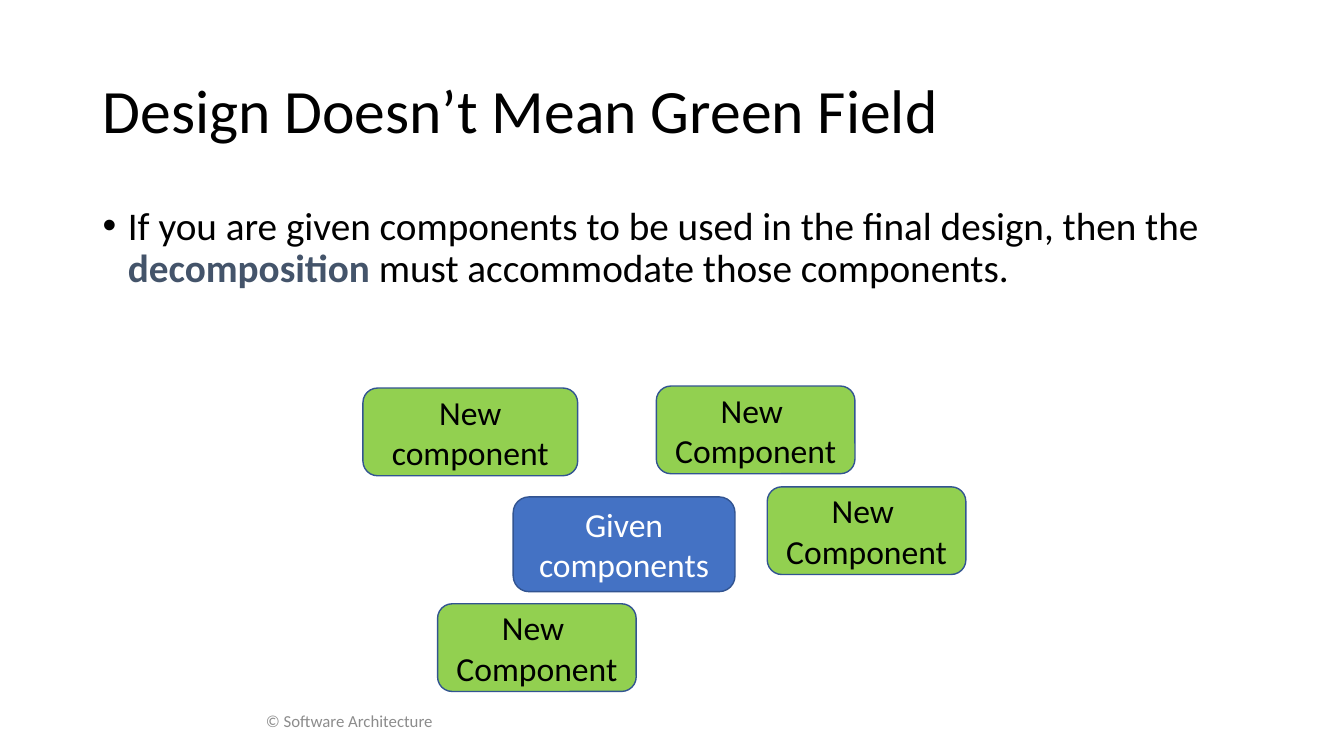
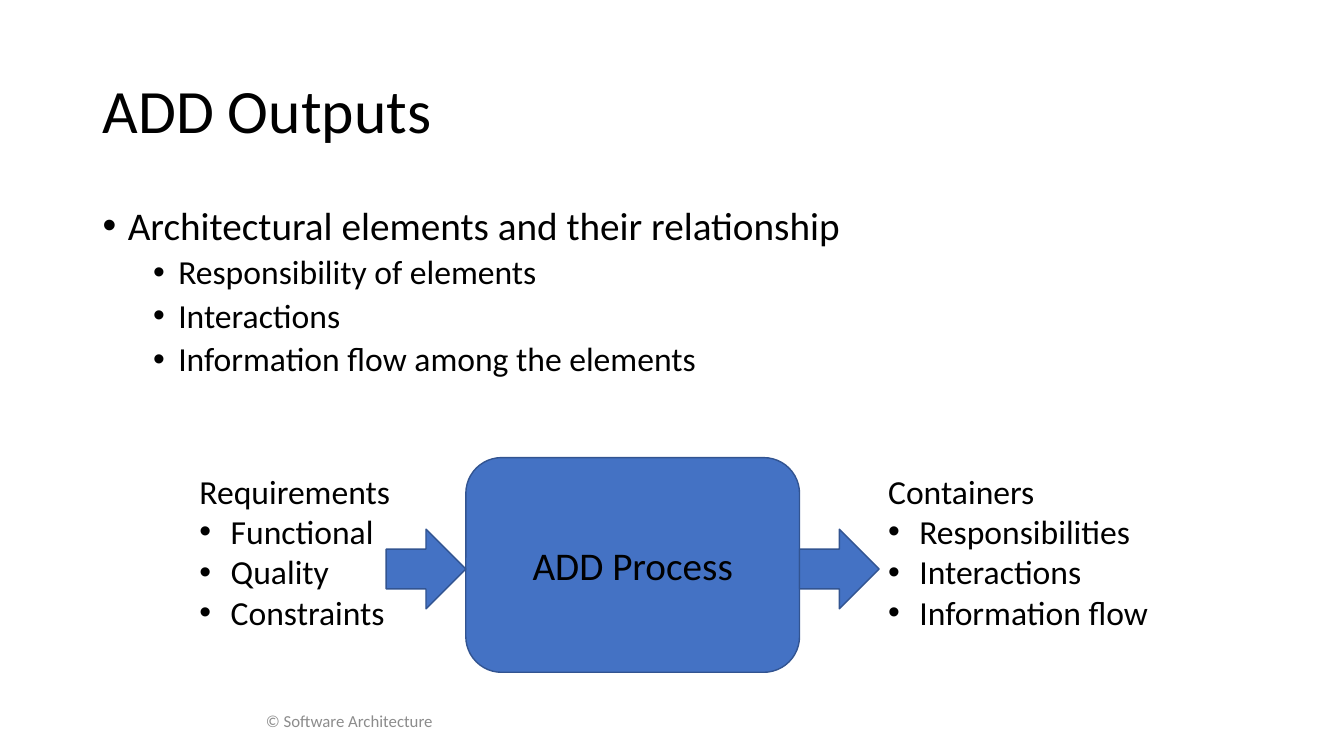
from lxml.etree import SubElement
from pptx import Presentation
from pptx.dml.color import RGBColor
from pptx.enum.shapes import MSO_SHAPE
from pptx.enum.text import MSO_ANCHOR, PP_ALIGN
from pptx.oxml.ns import qn
from pptx.util import Inches, Pt

FONT = "Calibri"
BLACK = RGBColor(0x00, 0x00, 0x00)
WHITE = RGBColor(0xFF, 0xFF, 0xFF)
BLUE = RGBColor(0x44, 0x72, 0xC4)
NAVY = RGBColor(0x32, 0x54, 0x91)
GREEN = RGBColor(0x92, 0xD0, 0x50)
SLATE = RGBColor(0x44, 0x54, 0x6A)
GRAY = RGBColor(0x8C, 0x8C, 0x8C)

TOP = dict(size=28, left=0.25, hang=0.25, lines=0.9)
SUB = dict(size=24, left=0.75, hang=0.25, lines=0.9, before=5)
ITEM = dict(size=24, left=0.31, hang=0.31)


def write(frame, text, size=24, color=BLACK, align=PP_ALIGN.LEFT,
          left=0, hang=0, lines=1, before=0, strong=None):
    para = frame.paragraphs[0]
    if para.runs:
        para = frame.add_paragraph()
    para.alignment = align
    para.line_spacing = lines
    para.space_before = Pt(before)
    if hang:
        props = para._p.get_or_add_pPr()
        props.set("marL", str(Inches(left)))
        props.set("indent", str(-Inches(hang)))
        SubElement(props, qn("a:buFont")).set("typeface", "Arial")
        SubElement(props, qn("a:buChar")).set("char", "•")
    head, mark, tail = text.partition(strong) if strong else (text, "", "")
    for part, bold in ((head, False), (mark, True), (tail, False)):
        if part:
            run = para.add_run()
            run.text = part
            font = run.font
            font.name, font.size, font.bold = FONT, Pt(size), bold
            font.color.rgb = SLATE if bold else color


def add_box(slide, x, y, w, h, anchor=MSO_ANCHOR.TOP, wrap=True):
    box = slide.shapes.add_textbox(Inches(x), Inches(y), Inches(w), Inches(h))
    frame = box.text_frame
    frame.word_wrap = wrap
    frame.vertical_anchor = anchor
    return frame


def add_block(slide, kind, x, y, w, h, fill=BLUE):
    shape = slide.shapes.add_shape(kind, Inches(x), Inches(y), Inches(w), Inches(h))
    shape.shadow.inherit = False
    shape.fill.solid()
    shape.fill.fore_color.rgb = fill
    shape.line.color.rgb = NAVY
    shape.line.width = Pt(1)
    frame = shape.text_frame
    frame.word_wrap = True
    frame.vertical_anchor = MSO_ANCHOR.MIDDLE
    return frame


def add_card(slide, x, y, w, h, texts, fill=BLUE, **style):
    frame = add_block(slide, MSO_SHAPE.ROUNDED_RECTANGLE, x, y, w, h, fill)
    for text in texts:
        write(frame, text, align=PP_ALIGN.CENTER, **style)


def add_list(slide, x, w, head, items, wrap=True):
    frame = add_box(slide, x, 4.62, w, 1.72, wrap=wrap)
    write(frame, head)
    for item in items:
        write(frame, item, **ITEM)


def add_slide(deck, title):
    slide = deck.slides.add_slide(deck.slide_layouts[6])
    write(add_box(slide, 0.92, 0.4, 11.5, 1.45, MSO_ANCHOR.MIDDLE),
          title, size=44, lines=0.9)
    write(add_box(slide, 0, 6.95, 6.93, 0.4, MSO_ANCHOR.MIDDLE),
          "© Software Architecture", size=12, color=GRAY, align=PP_ALIGN.CENTER)
    return slide, add_box(slide, 0.92, 2, 11.5, 4.76)


def add_design(deck):
    slide, body = add_slide(deck, "Design Doesn’t Mean Green Field")
    write(body, "If you are given components to be used in the final design, "
          "then the decomposition must accommodate those components.",
          strong="decomposition", **TOP)
    add_card(slide, 5.09, 4.93, 2.2, 0.94, ["Given components"], color=WHITE)
    add_card(slide, 3.6, 3.85, 2.13, 0.87, ["New component"], GREEN)
    for x, y in ((4.34, 5.99), (7.61, 4.83), (6.51, 3.83)):
        add_card(slide, x, y, 1.97, 0.87, ["New ", "Component"], GREEN)


def add_outputs(deck):
    slide, body = add_slide(deck, "ADD Outputs")
    write(body, "Architectural elements and their relationship", **TOP)
    for text in ("Responsibility of elements", "Interactions",
                 "Information flow among the elements"):
        write(body, text, **SUB)
    left, width, arrow = 4.62, 3.31, 0.79
    add_card(slide, left, 4.54, width, 2.13, ["ADD Process"], size=28)
    add_list(slide, 1.88, 2.11, "Requirements",
             ["Functional", "Quality", "Constraints"], wrap=False)
    add_list(slide, 8.71, 3.11, "Containers",
             ["Responsibilities", "Interactions", "Information flow"])
    for x in (left + width, left - arrow):
        add_block(slide, MSO_SHAPE.RIGHT_ARROW, x, 5.25, arrow, arrow)


def main():
    deck = Presentation()
    deck.slide_width = Inches(13.33)
    deck.slide_height = Inches(7.5)
    add_design(deck)
    add_outputs(deck)
    deck.save("out.pptx")


if __name__ == "__main__":
    main()
